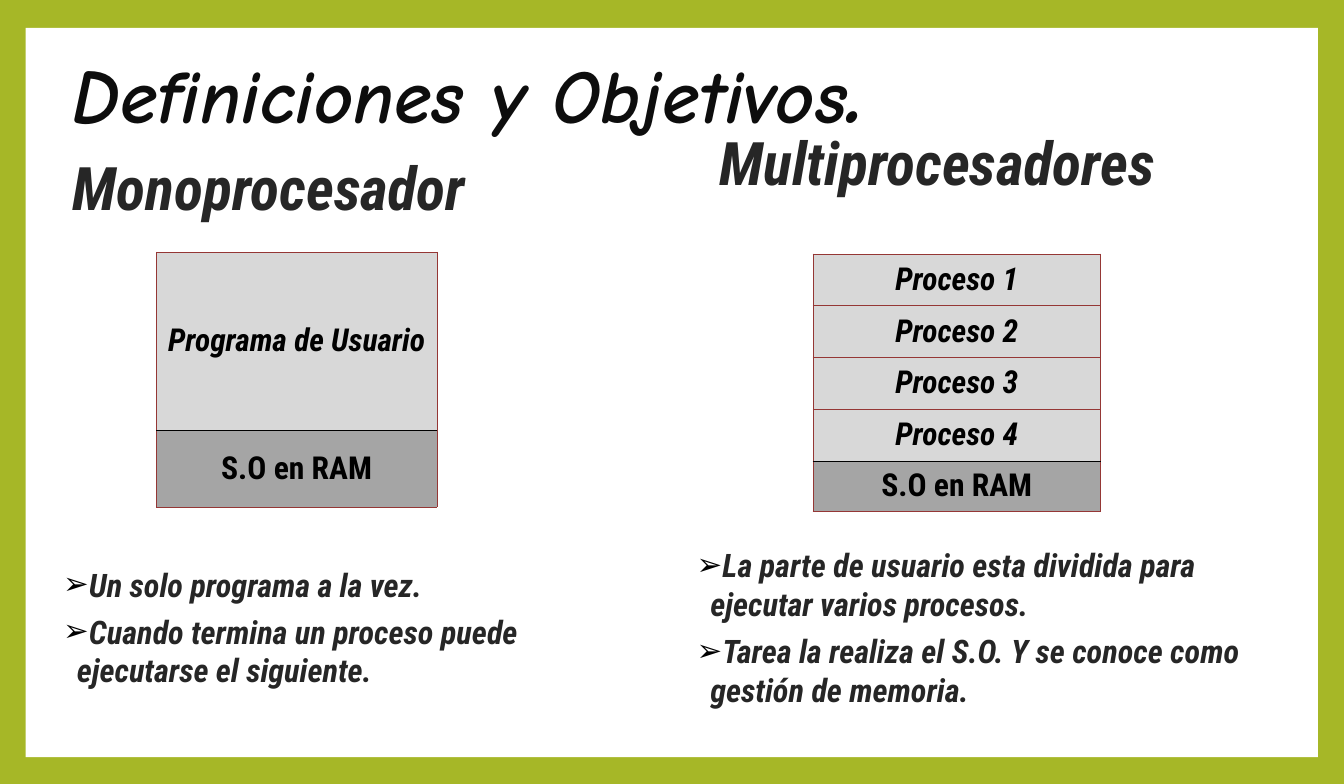
from lxml.etree import SubElement
from pptx import Presentation
from pptx.dml.color import RGBColor
from pptx.enum.shapes import MSO_SHAPE as Shape
from pptx.enum.text import MSO_ANCHOR as Anchor, PP_ALIGN as Align
from pptx.oxml.ns import qn
from pptx.util import Inches, Pt

GREEN = RGBColor(0xA6, 0xB7, 0x27)
WHITE = RGBColor(0xFF, 0xFF, 0xFF)
BLACK = RGBColor(0, 0, 0)
INK = RGBColor(0x0D, 0x0D, 0x0D)
CHARCOAL = RGBColor(0x26, 0x26, 0x26)
LIGHT = RGBColor(0xD8, 0xD8, 0xD8)
GRAY = RGBColor(0xA5, 0xA5, 0xA5)
MAROON = RGBColor(0x95, 0x37, 0x35)

COMIC, ROBOTO = "Comic Neue", "Roboto Condensed"
NO_STYLE = "{2D5ABB26-0587-4C30-8999-92F81FD0307C}"
SIDES = {"a:lnL": (0, -1), "a:lnR": (0, 1), "a:lnT": (-1, 0), "a:lnB": (1, 0)}
HALF = 44.18

deck = Presentation()
deck.slide_width, deck.slide_height = Inches(23.63), Inches(13.78)
slide = deck.slides.add_slide(deck.slide_layouts[6])
slide.background.fill.solid()
slide.background.fill.fore_color.rgb = GREEN


def area(left, top, width, height):
    across, down = deck.slide_width / 100, deck.slide_height / 100
    return int(left * across), int(top * down), int(width * across), int(height * down)


def write(paragraph, text, color, **formats):
    run = paragraph.add_run()
    run.text = text
    run.font.color.rgb = color
    for key, value in {"bold": True, "italic": True, "name": ROBOTO, **formats}.items():
        setattr(run.font, key, value)


panel = slide.shapes.add_shape(Shape.RECTANGLE, *area(1.9, 3.56, 96.15, 93.03))
panel.shadow.inherit = False
panel.fill.solid()
panel.fill.fore_color.rgb = WHITE
panel.line.fill.background()

headings = [
    (area(5, 4.86, 90, 13.64), COMIC, INK, [("Definiciones y Objetivos", 96), (".", 124)]),
    (area(5, 19.6, HALF, 9.65), ROBOTO, CHARCOAL, [("Monoprocesador", 76)]),
    (area(53.11, 16.33, HALF, 9.65), ROBOTO, CHARCOAL, [("Multiprocesadores", 76)]),
]
for place, typeface, color, pieces in headings:
    heading = slide.shapes.add_textbox(*place).text_frame
    heading.word_wrap = True
    heading.vertical_anchor = Anchor.MIDDLE
    heading.paragraphs[0].line_spacing = 0.9
    for text, size in pieces:
        write(heading.paragraphs[0], text, color, name=typeface, size=Pt(size))

memories = [
    (8.34, [3.3, 20.86, 5.76], [3.41, 22.71, 9.8, 3.41],
     ["Programa de Usuario", "S.O en RAM"]),
    (57.09, [3.39, 21.41, 5.88], [3.63] + [6.6] * 4 + [6.46, 3.63],
     [f"Proceso {number}" for number in range(1, 5)] + ["S.O en RAM"]),
]
for left, columns, rows, labels in memories:
    memory = slide.shapes.add_table(
        len(rows), len(columns), *area(left, 28.74, sum(columns), sum(rows))).table
    memory.first_row = memory.horz_banding = False
    memory._tbl.tblPr.find(qn("a:tableStyleId")).text = NO_STYLE
    for column, share in zip(memory.columns, columns):
        column.width = area(0, 0, share, 0)[2]
    for row, share in zip(memory.rows, rows):
        row.height = area(0, 0, 0, share)[3]

    blocks = {(row, 1): label for row, label in enumerate(labels, 1)}
    system = (len(labels), 1)
    last_user = (len(labels) - 1, 1)
    for row in range(len(rows)):
        for column in range(len(columns)):
            spot = (row, column)
            cell = memory.cell(row, column)
            for side, (down, across) in SIDES.items():
                neighbour = (row + down, column + across)
                if spot not in blocks and neighbour not in blocks:
                    continue
                divider = {spot, neighbour} == {system, last_user}
                edge = SubElement(cell._tc.get_or_add_tcPr(), qn(side))
                edge.set("w", str(Pt(0.45 if divider else 0.75)))
                paint = SubElement(edge, qn("a:solidFill"))
                SubElement(paint, qn("a:srgbClr")).set("val", str(BLACK if divider else MAROON))
            if spot not in blocks:
                cell.fill.background()
                continue
            cell.fill.solid()
            cell.fill.fore_color.rgb = GRAY if spot == system else LIGHT
            cell.vertical_anchor = Anchor.MIDDLE
            cell.margin_left = cell.margin_right = Inches(0.02)
            label = cell.text_frame.paragraphs[0]
            label.alignment = Align.CENTER
            write(label, blocks[spot], BLACK, size=Pt(40), italic=spot != system)

notes = [
    (4.32, ["Un solo programa a la vez.",
            "Cuando termina un proceso puede ejecutarse el siguiente."]),
    (51.46, ["La parte de usuario esta dividida para ejecutar varios procesos.",
             "Tarea la realiza el S.O. Y se conoce como gestión de memoria."]),
]
for left, points in notes:
    traits = slide.shapes.add_textbox(*area(left, 66.84, HALF, 26.27)).text_frame
    traits.word_wrap = True
    traits.vertical_anchor = Anchor.MIDDLE
    traits.margin_left = traits.margin_right = Inches(0.09)
    traits.margin_top = traits.margin_bottom = 0
    for order, text in enumerate(points):
        point = traits.add_paragraph() if order else traits.paragraphs[0]
        layout = point._p.get_or_add_pPr()
        layout.set("marL", str(Inches(0.24)))
        layout.set("indent", str(-Inches(0.24)))
        SubElement(SubElement(layout, qn("a:buClr")), qn("a:srgbClr")).set("val", str(BLACK))
        SubElement(layout, qn("a:buSzPct")).set("val", "95000")
        SubElement(layout, qn("a:buFont")).set("typeface", "Arial")
        SubElement(layout, qn("a:buChar")).set("char", "➢")
        if order:
            point.space_before = Pt(10.3)
        write(point, text, CHARCOAL, size=Pt(41))

deck.save("out.pptx")
